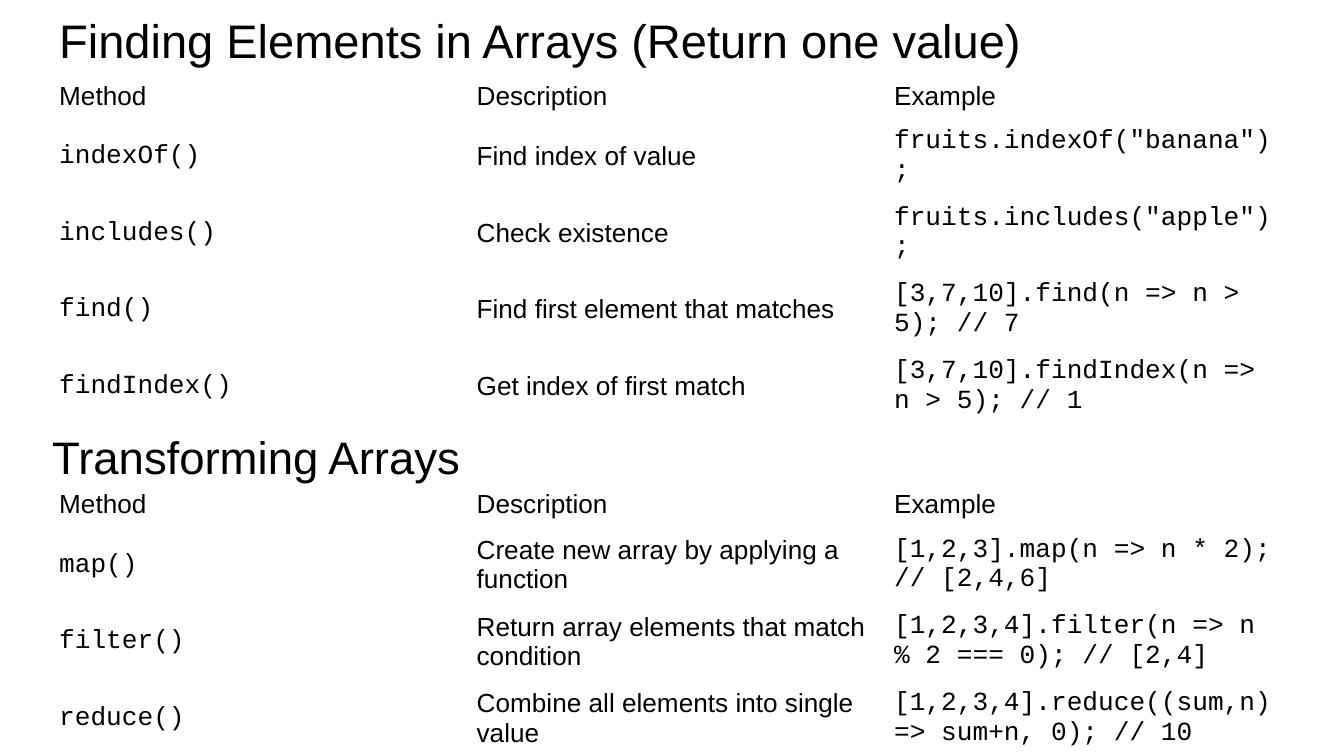
from dataclasses import dataclass

from pptx import Presentation
from pptx.dml.color import RGBColor
from pptx.enum import text as t
from pptx.util import Inches, Pt


@dataclass(frozen=True)
class Theme:
    ink: RGBColor = RGBColor(0, 0, 0)
    body_font: str = "Arial"
    code_font: str = "Courier New"
    title_size: float = 25.2
    subtitle_size: float = 24.4
    cell_size: float = 14


theme = Theme()


def write(holder, content, size, font=theme.body_font):
    """Put one formatted run in a shape or a table cell."""
    paragraph = holder.text_frame.paragraphs[0]
    paragraph.alignment = t.PP_ALIGN.LEFT
    paragraph.line_spacing = 1.0
    paragraph.space_before = Pt(0)
    run = paragraph.add_run()
    run.text = content
    run.font.name = font
    run.font.size = Pt(size)
    run.font.color.rgb = theme.ink


HEADER = ("Method", "Description", "Example")
FINDING = [
    ("indexOf()", "Find index of value", 'fruits.indexOf("banana");'),
    ("includes()", "Check existence", 'fruits.includes("apple");'),
    ("find()", "Find first element that matches", "[3,7,10].find(n => n > 5); // 7"),
    ("findIndex()", "Get index of first match", "[3,7,10].findIndex(n => n > 5); // 1"),
]
TRANSFORMING = [
    ("map()", "Create new array by applying a function",
     "[1,2,3].map(n => n * 2); // [2,4,6]"),
    ("filter()", "Return array elements that match condition",
     "[1,2,3,4].filter(n => n % 2 === 0); // [2,4]"),
    ("reduce()", "Combine all elements into single value",
     "[1,2,3,4].reduce((sum,n) => sum+n, 0); // 10"),
]
LEFT, WIDTH = Inches(0.34), Inches(9.32)
HEADING_HEIGHT = Inches(0.63)
HEADER_HEIGHT, ROW_HEIGHT = Inches(0.33), Inches(0.57)

prs = Presentation()
prs.slide_width = Inches(10)
prs.slide_height = prs.slide_width * 9 // 16
slide = prs.slides.add_slide(prs.slide_layouts[5])

title = slide.shapes.title
title.left, title.top = LEFT, Inches(-0.02)
title.width, title.height = WIDTH, HEADING_HEIGHT
write(title, "Finding Elements in Arrays (Return one value)", theme.title_size)

for top, methods in ((0.55, FINDING), (3.59, TRANSFORMING)):
    height = HEADER_HEIGHT + ROW_HEIGHT * len(methods)
    table = slide.shapes.add_table(
        len(methods) + 1, len(HEADER), LEFT, Inches(top), WIDTH, height).table
    table.first_row = table.horz_banding = False
    for r, entries in enumerate([HEADER, *methods]):
        table.rows[r].height = ROW_HEIGHT if r else HEADER_HEIGHT
        for c, entry in enumerate(entries):
            cell = table.cell(r, c)
            cell.fill.background()
            cell.vertical_anchor = t.MSO_ANCHOR.MIDDLE
            is_code = r > 0 and c != 1
            write(cell, entry, theme.cell_size,
                  font=theme.code_font if is_code else theme.body_font)

subtitle = slide.shapes.add_textbox(Inches(0.29), Inches(3.08), WIDTH, HEADING_HEIGHT)
write(subtitle, "Transforming Arrays", theme.subtitle_size)

for heading in (title, subtitle):
    frame = heading.text_frame
    frame.word_wrap = True
    frame.auto_size = t.MSO_AUTO_SIZE.NONE
    frame.vertical_anchor = t.MSO_ANCHOR.MIDDLE
    frame.margin_left = frame.margin_right = Inches(0.1)
    frame.margin_top = frame.margin_bottom = Inches(0.1)

prs.save("out.pptx")
